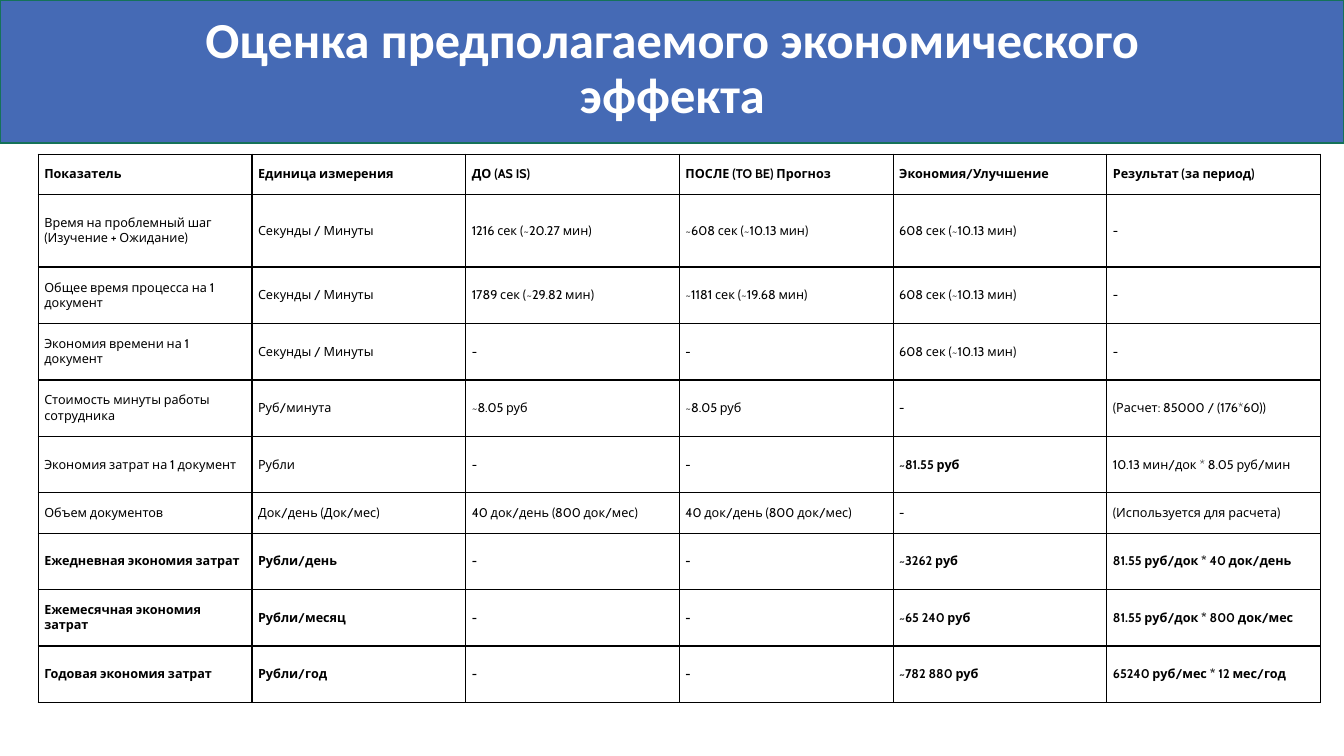
from lxml import etree
from pptx import Presentation
from pptx.dml.color import RGBColor
from pptx.enum.shapes import MSO_SHAPE
from pptx.enum.text import MSO_ANCHOR, PP_ALIGN
from pptx.oxml.ns import qn
from pptx.util import Inches, Pt

RECT = MSO_SHAPE.RECTANGLE
MIDDLE, BOTTOM = MSO_ANCHOR.MIDDLE, MSO_ANCHOR.BOTTOM
CENTER = PP_ALIGN.CENTER

COLORS = {"band": "456AB5", "edge": "157259", "white": "FFFFFF", "black": "000000"}
TITLE = {"name": "Calibri", "size": Pt(36), "bold": True}
BODY = {"name": "Cabin", "size": Pt(9)}
CELL = {
    "vertical_anchor": MIDDLE,
    "margin_left": Inches(0.06), "margin_right": Inches(0.06),
    "margin_top": Inches(0.03), "margin_bottom": Inches(0.03),
}

COL = 2.12
HEIGHTS = [0.4, 0.72] + [0.56] * 4 + [0.4] + [0.56] * 3
ROWS = [
    ["Показатель", "Единица измерения", "ДО (AS IS)", "ПОСЛЕ (TO BE) Прогноз",
     "Экономия/Улучшение", "Результат (за период)"],
    ["Время на проблемный шаг (Изучение + Ожидание)", "Секунды / Минуты",
     "1216 сек (~20.27 мин)", "~608 сек (~10.13 мин)", "608 сек (~10.13 мин)", "-"],
    ["Общее время процесса на 1 документ", "Секунды / Минуты",
     "1789 сек (~29.82 мин)", "~1181 сек (~19.68 мин)", "608 сек (~10.13 мин)", "-"],
    ["Экономия времени на 1 документ", "Секунды / Минуты", "-", "-",
     "608 сек (~10.13 мин)", "-"],
    ["Стоимость минуты работы сотрудника", "Руб/минута", "~8.05 руб", "~8.05 руб",
     "-", "(Расчет: 85000 / (176*60))"],
    ["Экономия затрат на 1 документ", "Рубли", "-", "-",
     "~81.55 руб", "10.13 мин/док * 8.05 руб/мин"],
    ["Объем документов", "Док/день (Док/мес)", "40 док/день (800 док/мес)",
     "40 док/день (800 док/мес)", "-", "(Используется для расчета)"],
    ["Ежедневная экономия затрат", "Рубли/день", "-", "-",
     "~3262 руб", "81.55 руб/док * 40 док/день"],
    ["Ежемесячная экономия затрат", "Рубли/месяц", "-", "-",
     "~65 240 руб", "81.55 руб/док * 800 док/мес"],
    ["Годовая экономия затрат", "Рубли/год", "-", "-",
     "~782 880 руб", "65240 руб/мес * 12 мес/год"],
]
BOLD_ROWS = {0, 7, 8, 9}
BOLD_CELL = (5, 4)


def style(font, form, color):
    for key, value in form.items():
        setattr(font, key, value)
    font.color.rgb = RGBColor.from_string(COLORS[color])


def border(cell):
    """Draw a thin black line on all four sides of a cell."""
    props = cell._tc.get_or_add_tcPr()
    for side in ("lnL", "lnR", "lnT", "lnB"):
        line = etree.SubElement(props, qn(f"a:{side}"), w=str(Pt(1)))
        fill = etree.SubElement(line, qn("a:solidFill"))
        etree.SubElement(fill, qn("a:srgbClr"), val=COLORS["black"])


deck = Presentation()
deck.slide_width, deck.slide_height = Inches(13.33), Inches(7.5)
slide = deck.slides.add_slide(deck.slide_layouts[6])
shapes = slide.shapes

# Title band
band = shapes.add_shape(RECT, 0, 0, Inches(13.33), Inches(1.42))
band.shadow.inherit = False
band.fill.solid()
band.fill.fore_color.rgb = RGBColor.from_string(COLORS["band"])
band.line.color.rgb = RGBColor.from_string(COLORS["edge"])
band.line.width = Pt(1)

title = shapes.add_textbox(Inches(1.67), Inches(0.32), Inches(10), Inches(0.96))
frame = title.text_frame
frame.word_wrap = True
frame.vertical_anchor = BOTTOM
para = frame.paragraphs[0]
para.text = "Оценка предполагаемого экономического эффекта"
para.alignment = CENTER
para.line_spacing = 0.9
style(para.runs[0].font, TITLE, "white")

# Table of effects
table = shapes.add_table(
    len(ROWS), len(ROWS[0]), Inches(0.38), Inches(1.53),
    Inches(COL * len(ROWS[0])), Inches(sum(HEIGHTS)),
).table
for col in table.columns:
    col.width = Inches(COL)
for r, (texts, height) in enumerate(zip(ROWS, HEIGHTS)):
    table.rows[r].height = Inches(height)
    for c, text in enumerate(texts):
        cell = table.cell(r, c)
        cell.text = text
        for key, value in CELL.items():
            setattr(cell, key, value)
        border(cell)
        cell.fill.solid()
        cell.fill.fore_color.rgb = RGBColor.from_string(COLORS["white"])
        font = cell.text_frame.paragraphs[0].runs[0].font
        style(font, BODY, "black")
        font.bold = r in BOLD_ROWS or (r, c) == BOLD_CELL

deck.save("out.pptx")
